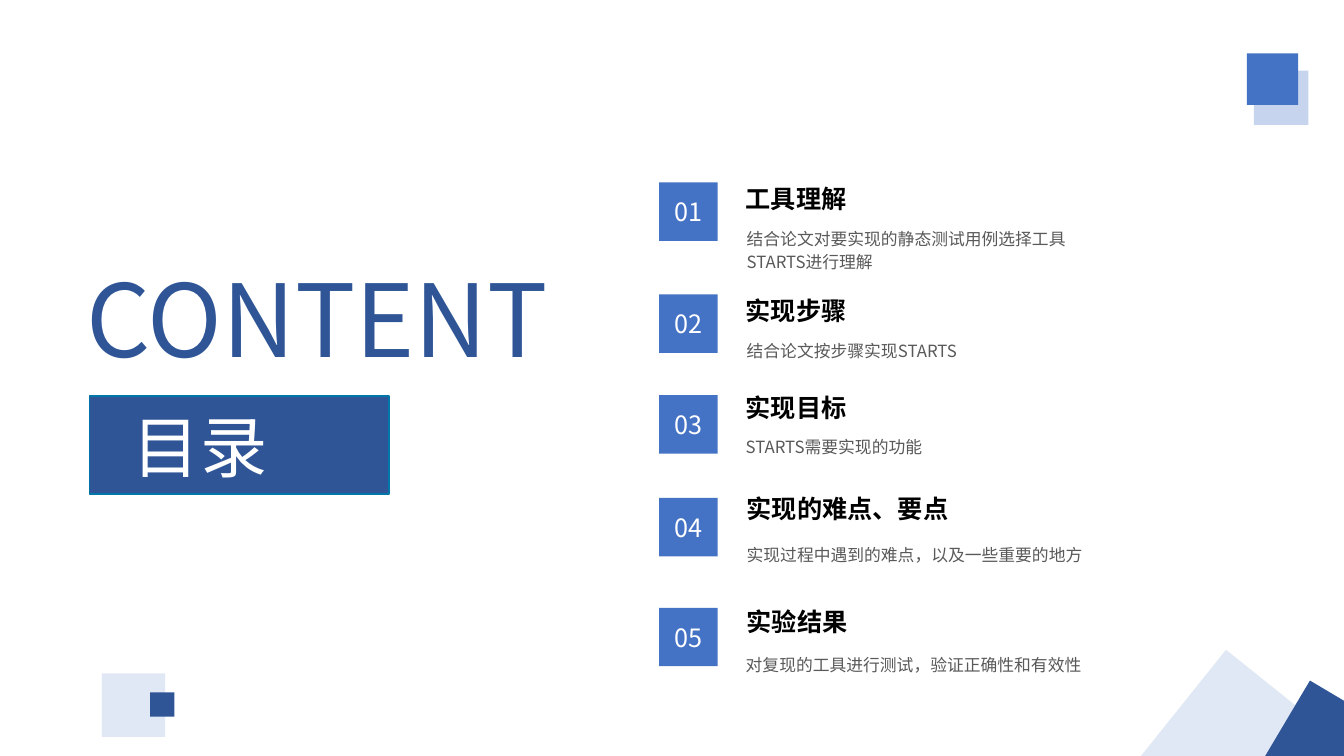
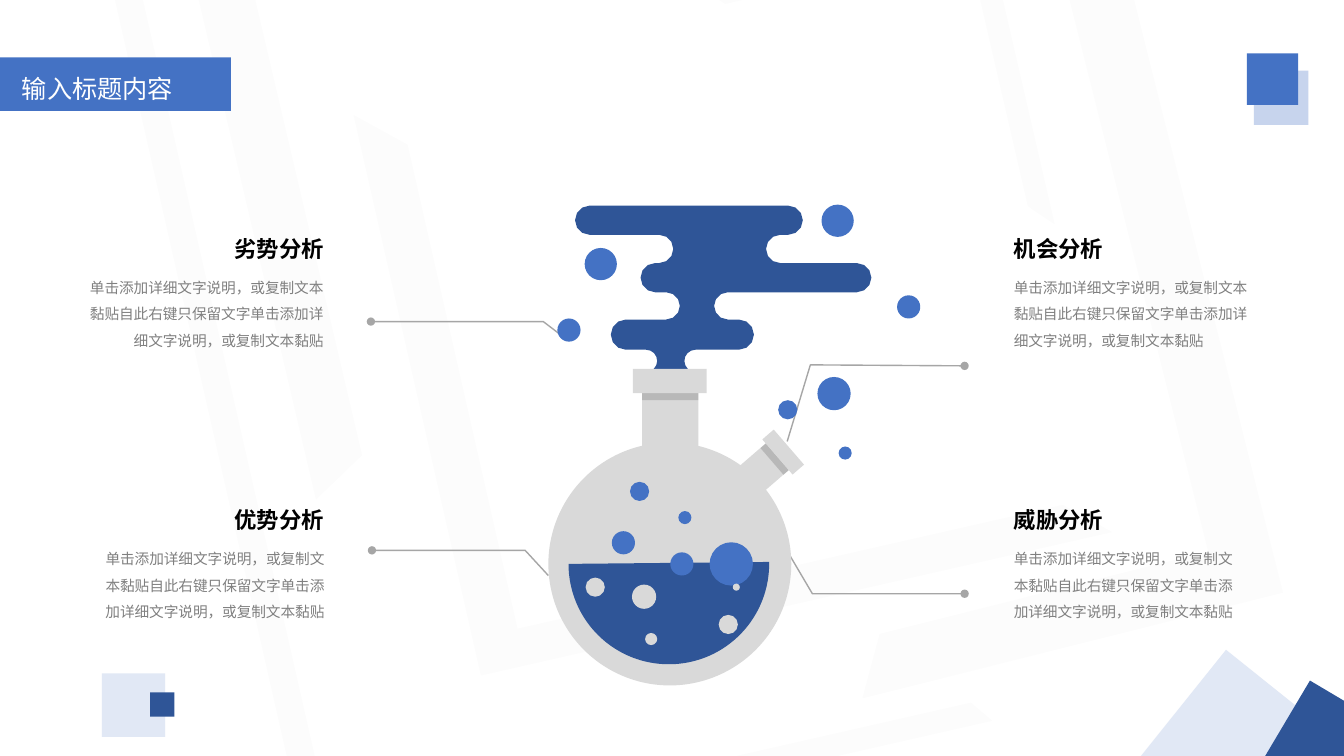
"""Build a contents slide and a flask-shaped SWOT slide."""
import math

from pptx import Presentation, util as u
from pptx.dml.color import RGBColor
from pptx.enum import shapes, text
from pptx.oxml import ns, xmlchemy

FONT = "Noto Sans CJK SC"
COLORS = {
    "navy": "2F5597", "blue": "4472C4", "pale": "C7D4ED", "teal": "0076A9",
    "white": "FFFFFF", "black": "000000", "body": "595959", "note": "808080",
    "rule": "A6A6A6", "glass": "D9D9D9",
}
SHAPE = shapes.MSO_SHAPE
ALIGN = text.PP_ALIGN

CONTENTS = [
    ("01", 1.81, (7.3, 1.77), "工具理解", (7.31, 2.19),
     "结合论文对要实现的静态测试用例选择工具STARTS进行理解"),
    ("02", 2.92, (7.3, 2.88), "实现步骤", (7.31, 3.3), "结合论文按步骤实现STARTS"),
    ("03", 3.92, (7.3, 3.84), "实现目标", (7.3, 4.26), "STARTS需要实现的功能"),
    ("04", 4.94, (7.31, 4.84), "实现的难点、要点", (7.31, 5.33),
     "实现过程中遇到的难点，以及一些重要的地方"),
    ("05", 6.03, (7.31, 5.97), "实验结果", (7.3, 6.42),
     "对复现的工具进行测试，验证正确性和有效性"),
]
NOTE = "单击添加详细文字说明，或复制文本黏贴自此右键只保留文字单击添加详细文字说明，或复制文本黏贴"
SWOT = [
    ("优势分析", 1.34, 4.97, (0.82, 5.32, 2.5, 0.9), ALIGN.RIGHT),
    ("劣势分析", 1.34, 2.28, (0.76, 2.63, 2.55, 0.9), ALIGN.RIGHT),
    ("机会分析", 9.96, 2.28, (9.96, 2.63, 2.6, 0.9), ALIGN.LEFT),
    ("威胁分析", 9.96, 4.97, (9.96, 5.32, 2.5, 0.9), ALIGN.LEFT),
]
LEADERS = [
    [(5.64, 3.38), (5.39, 3.19), (3.68, 3.19)],
    [(5.44, 5.71), (5.21, 5.46), (3.69, 5.46)],
    [(7.81, 4.38), (8.04, 3.62), (9.57, 3.63)],
    [(7.83, 5.5), (8.06, 5.89), (9.57, 5.89)],
]
BACKDROP = [
    ((4.42, 0, 5.7, 6.42), 257.2, (0.08, 0.065), False),
    ((0.81, -0.06, 9.28, 6.9), 257.2, (0.039, 0.032), False),
    ((7.24, -0.34, 3.01, 2.83), 77, (0.077, 0.052), False),
    ((2.37, -1.66, 9.45, 5.61), 346.8, (0.091, 0.097), False),
    ((5.83, 0.5, 7.74, 4.3), 75.9, (0.144, 0.134), True),
]
OUTER_BUBBLES = [
    (8.15, 2.03, 0.32), (5.8, 2.46, 0.32), (5.53, 3.16, 0.23),
    (8.9, 2.93, 0.23), (8.11, 3.74, 0.33), (8.32, 4.43, 0.13),
    (7.72, 3.97, 0.19), (6.25, 4.78, 0.19), (6.73, 5.07, 0.13),
    (6.07, 5.27, 0.23),
]
SURFACE_BUBBLES = [(6.65, 5.48, 0.23), (7.04, 5.38, 0.43)]
LIQUID_BUBBLES = [
    (6.27, 5.8, 0.24), (5.81, 5.73, 0.19), (7.13, 6.1, 0.19),
    (6.4, 6.28, 0.12), (7.27, 5.79, 0.07),
]
ARC_STEPS = 6
SMOKE_RIGHT = [
    (7.82, 2.185, 0.145, 1, 180), (7.74, 2.47, 0.14, -1, 180),
    (8.5, 2.755, 0.145, 1, 180), (7.22, 3.035, 0.135, -1, 180),
    (7.33, 3.32, 0.15, 1, 180), (6.9, 3.58, 0.11, -1, 137),
]
SMOKE_LEFT = [
    (5.85, 2.185, 0.145, -1, 180), (6.54, 2.47, 0.14, 1, 180),
    (6.5, 2.755, 0.145, -1, 180), (6.61, 3.035, 0.135, 1, 180),
    (6.21, 3.32, 0.15, -1, 180), (6.41, 3.58, 0.11, 1, 137),
]


def rgb(name):
    """Return the named colour."""
    return RGBColor.from_string(COLORS[name])


def inches(values):
    """Convert numbers to lengths."""
    return [u.Inches(value) for value in values]


def add_xml(parent, tag, **attributes):
    """Append a DrawingML element."""
    element = xmlchemy.OxmlElement(tag)
    for name, value in attributes.items():
        element.set(name, value)
    parent.append(element)


def paint(shape, color, alpha=None):
    """Fill a shape without outline or shadow, optionally transparent."""
    shape.shadow.inherit = False
    shape.line.fill.background()
    shape.fill.solid()
    shape.fill.fore_color.rgb = rgb(color)
    if alpha is not None:
        fill_color = shape.element.spPr.find(ns.qn("a:solidFill"))[0]
        add_xml(fill_color, "a:alpha", val=str(alpha * 1000))


def add_block(parent, kind, box, color, alpha=None, rotation=0, adjustments=()):
    """Add a filled preset shape to a slide or group."""
    shape = parent.shapes.add_shape(kind, *inches(box))
    paint(shape, color, alpha)
    shape.rotation = rotation
    for index, value in enumerate(adjustments):
        shape.adjustments[index] = value
    return shape


def write(shape, words, size, color, align=ALIGN.LEFT, bold=False, spacing=None):
    """Put one styled paragraph in a shape."""
    shape.text_frame.word_wrap = True
    paragraph = shape.text_frame.paragraphs[0]
    paragraph.text = words
    paragraph.alignment = align
    if spacing:
        paragraph.line_spacing = spacing
    font = paragraph.font
    font.name, font.size, font.bold = FONT, u.Pt(size), bold
    font.color.rgb = rgb(color)
    defaults = paragraph._p.pPr.find(ns.qn("a:defRPr"))
    add_xml(defaults, "a:ea", typeface=FONT)


def add_text(slide, box, words, size, color, **style):
    """Add a wrapped text box."""
    write(slide.shapes.add_textbox(*inches(box)), words, size, color, **style)


def add_outline(parent, points, closed):
    """Add a freeform through the given points."""
    start, *rest = [inches(point) for point in points]
    builder = parent.shapes.build_freeform(*start, scale=1.0)
    builder.add_line_segments(rest, close=closed)
    return builder.convert_to_shape()


def add_leader(slide, points):
    """Add a bent leader line with a dot at its end."""
    shape = add_outline(slide, points, False)
    shape.shadow.inherit = False
    shape.fill.background()
    shape.line.color.rgb = rgb("rule")
    shape.line.width = u.Pt(1)
    add_xml(shape.element.spPr.find(ns.qn("a:ln")), "a:tailEnd", type="oval")


def add_bubbles(parent, bubbles, color):
    """Add circles given as left, top and diameter."""
    for left, top, size in bubbles:
        add_block(parent, SHAPE.OVAL, (left, top, size, size), color)


def smoke_edge(turns):
    """Trace round turns from top to bottom."""
    return [
        (x + side * radius * math.sin(angle), y - radius * math.cos(angle))
        for x, y, radius, side, sweep in turns
        for angle in (math.radians(sweep * step / ARC_STEPS)
                      for step in range(ARC_STEPS + 1))
    ]


def add_corner_blocks(slide):
    """Add the grouped corner squares shared by all slides."""
    group = slide.shapes.add_group_shape()
    for left, top, size, color, alpha, rotation in [
        (12.44, 0.7, 0.54, "pale", None, 0),
        (11.53, 6.75, 1.5, "pale", 53, 308.7),
        (1.01, 6.68, 0.63, "pale", 53, 0),
        (1.49, 6.87, 0.24, "navy", None, 0),
        (12.37, 0.53, 0.51, "blue", None, 0),
        (12.7, 6.92, 0.91, "navy", None, 300.7),
    ]:
        add_block(group, SHAPE.RECTANGLE, (left, top, size, size), color,
                  alpha, rotation)


def add_backdrop(slide):
    """Add the faint grouped half frames."""
    group = slide.shapes.add_group_shape()
    for box, rotation, adjustments, flipped in BACKDROP:
        frame = add_block(group, SHAPE.HALF_FRAME, box, "rule", 3, rotation,
                          adjustments)
        if flipped:
            frame.element.spPr.xfrm.set("flipH", "1")


def add_flask(slide):
    """Draw the flask with its smoke, liquid and bubbles."""
    group = slide.shapes.add_group_shape()
    add_block(group, SHAPE.OVAL, (5.44, 4.39, 2.41, 2.41), "glass")
    smoke = smoke_edge(SMOKE_RIGHT) + smoke_edge(SMOKE_LEFT)[::-1]
    paint(add_outline(group, smoke, True), "navy")
    add_bubbles(group, OUTER_BUBBLES, "blue")
    add_block(group, SHAPE.RECTANGLE, (6.37, 3.9, 0.56, 0.53), "glass")
    add_block(group, SHAPE.RECTANGLE, (7.41, 4.47, 0.35, 0.34), "glass",
              rotation=49.2)
    add_block(group, SHAPE.CHORD, (5.64, 4.6, 1.99, 1.99), "navy",
              adjustments=(215.307, 108.024))
    add_bubbles(group, SURFACE_BUBBLES, "blue")
    add_bubbles(group, LIQUID_BUBBLES, "glass")
    for box, color, alpha, rotation in [
        ((6.37, 3.9, 0.56, 0.07), "black", 15, 0),
        ((7.51, 4.52, 0.35, 0.07), "black", 15, 49.2),
        ((7.54, 4.41, 0.46, 0.15), "glass", None, 49.2),
        ((6.28, 3.66, 0.73, 0.24), "glass", None, 0),
    ]:
        add_block(group, SHAPE.RECTANGLE, box, color, alpha, rotation)


def build_contents(slide):
    """Build the contents slide."""
    panel = add_block(slide, SHAPE.RECTANGLE, (0.89, 3.93, 2.97, 0.97), "navy")
    panel.line.color.rgb = rgb("teal")
    panel.line.width = u.Pt(1)
    add_text(slide, (0.76, 2.63, 5.26, 1.19), "CONTENT", 72, "navy",
             align=ALIGN.JUSTIFY, spacing=0.9)
    add_text(slide, (1.22, 3.97, 2.25, 0.91), "目录", 48, "white",
             align=ALIGN.JUSTIFY)
    for number, top, heading_at, heading, detail_at, detail in CONTENTS:
        badge = add_block(slide, SHAPE.RECTANGLE, (6.54, top, 0.58, 0.58), "blue")
        badge.text_frame.vertical_anchor = text.MSO_ANCHOR.MIDDLE
        write(badge, number, 18, "white", align=ALIGN.CENTER)
        add_text(slide, (*heading_at, 2.81, 0.4), heading, 18, "black", bold=True)
        add_text(slide, (*detail_at, 3.9, 0.31), detail, 12, "body", spacing=1.14)
    add_corner_blocks(slide)


def build_swot(slide):
    """Build the SWOT slide."""
    add_backdrop(slide)
    add_block(slide, SHAPE.PENTAGON, (0, 0.57, 2.29, 0.53), "blue",
              adjustments=(0,))
    add_text(slide, (0.12, 0.68, 2.17, 0.43), "输入标题内容", 18, "white",
             align=ALIGN.JUSTIFY)
    add_corner_blocks(slide)
    for points in LEADERS:
        add_leader(slide, points)
    add_flask(slide)
    for heading, left, top, note_box, align in SWOT:
        add_text(slide, (left, top, 1.97, 0.37), heading, 16, "black",
                 align=align, bold=True)
        add_text(slide, note_box, NOTE, 10.5, "note", align=align, spacing=1.5)


def main():
    """Create and save the presentation."""
    presentation = Presentation()
    presentation.slide_width = u.Inches(40 / 3)
    presentation.slide_height = u.Inches(7.5)
    for build in (build_contents, build_swot):
        build(presentation.slides.add_slide(presentation.slide_layouts[6]))
    presentation.save("out.pptx")


if __name__ == "__main__":
    main()
